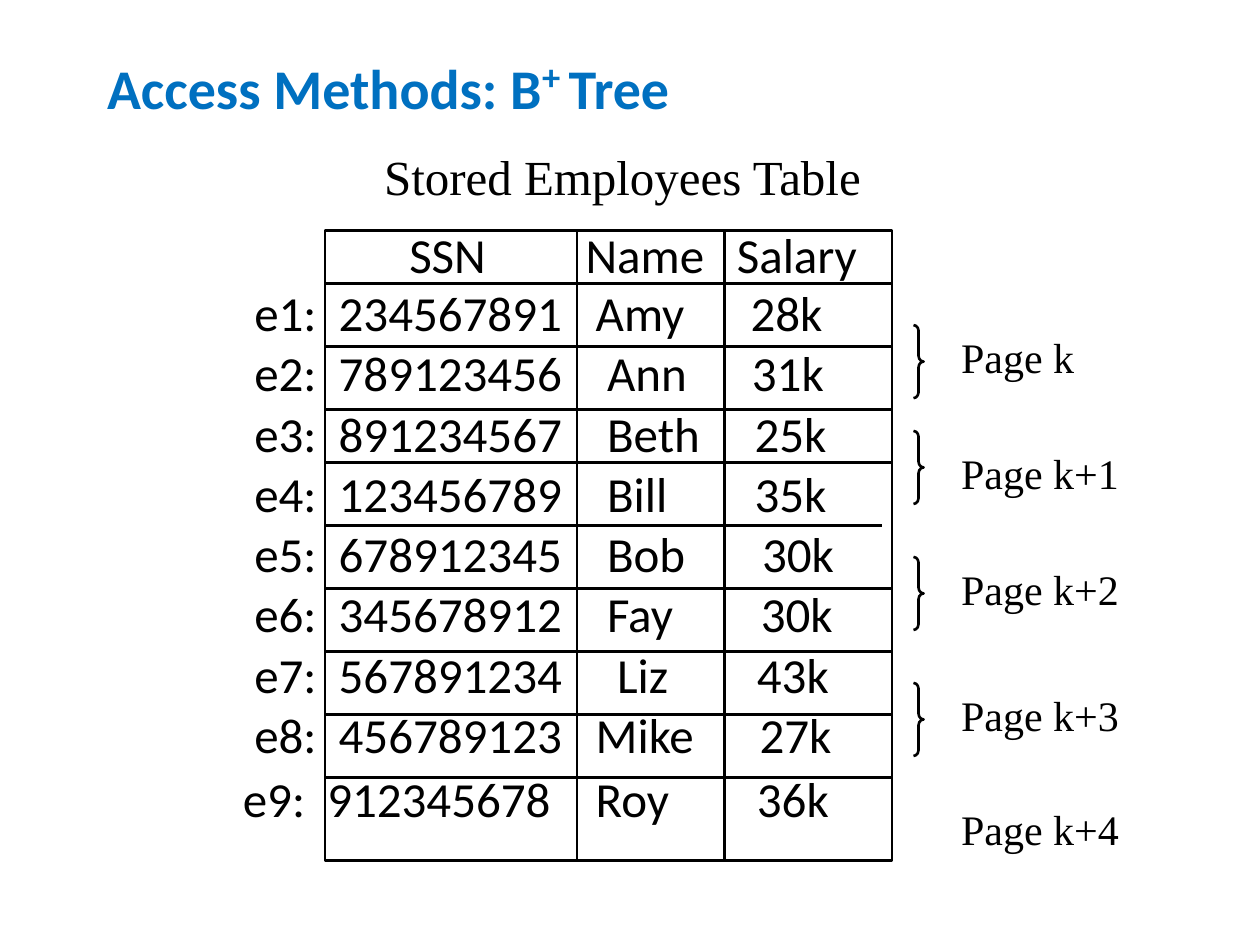
"""Build a slide showing the stored employees table and its pages."""
from dataclasses import dataclass

from lxml import etree
from pptx import Presentation
from pptx import util as u
from pptx.dml.color import RGBColor
from pptx.enum import shapes, text
from pptx.oxml import ns


@dataclass(frozen=True)
class Theme:
    title: RGBColor = RGBColor(0x00, 0x70, 0xC0)
    ink: RGBColor = RGBColor(0, 0, 0)
    sans: str = "Calibri"
    serif: str = "Times New Roman"
    title_size: int = 32
    plus_size: int = 36
    body_size: int = 28
    page_size: int = 24
    line_width: float = 1.5


theme = Theme()


def style(r, name, size, color=theme.ink, bold=False):
    r.font.name, r.font.size, r.font.bold = name, u.Pt(size), bold
    r.font.color.rgb = color


def add_label(s, words, left, top, width, height, size):
    tb = s.shapes.add_textbox(*map(u.Inches, (left, top, width, height)))
    tf = tb.text_frame
    tf.text = words
    tf.word_wrap = False
    tf.auto_size = text.MSO_AUTO_SIZE.SHAPE_TO_FIT_TEXT
    style(tf.paragraphs[0].runs[0], theme.serif, size)


prs = Presentation()
prs.slide_width, prs.slide_height = u.Inches(10), u.Inches(7.5)
s = prs.slides.add_slide(prs.slide_layouts[5])

title = s.shapes.title
title.left, title.top = u.Inches(0.75), u.Inches(0.42)
title.width, title.height = u.Inches(8.5), u.Inches(0.58)
tf = title.text_frame
tf.auto_size = text.MSO_AUTO_SIZE.NONE
tf.vertical_anchor = text.MSO_ANCHOR.MIDDLE
p = tf.paragraphs[0]
p.alignment, p.line_spacing = text.PP_ALIGN.LEFT, 0.9
for words, size, raised in (
    ("Access Methods: B", theme.title_size, 0),
    ("+ ", theme.plus_size, 30000),
    ("Tree", theme.title_size, 0),
):
    r = p.add_run()
    r.text = words
    style(r, theme.sans, size, theme.title, True)
    r.font._element.set("baseline", str(raised))

body_left, inset = 0.25, 0.1
body = s.shapes.add_textbox(*map(u.Inches, (body_left, 1.42, 9, 5.67)))
tf = body.text_frame
tf.word_wrap = True
tf.auto_size = text.MSO_AUTO_SIZE.NONE
tf.margin_left, tf.margin_top = u.Inches(inset), u.Inches(0.53)

label_x, ssn_x = 2.02, 2.69
employees = [
    ("234567891", "Amy", "28k", 4.73, 5.96),
    ("789123456", "Ann", "31k", 4.82, 5.97),
    ("891234567", "Beth", "25k", 4.82, 5.99),
    ("123456789", "Bill", "35k", 4.82, 5.99),
    ("678912345", "Bob", "30k", 4.82, 6.05),
    ("345678912", "Fay", "30k", 4.82, 6.04),
    ("567891234", "Liz", "43k", 4.9, 6.01),
    ("456789123", "Mike", "27k", 4.73, 6.03),
    ("912345678", "Roy", "36k", 4.73, 6.01),
]
rows = [(("SSN", "Name", "Salary"), (3.25, 4.65, 5.85), 0.6, 0)]
for i, (ssn, name, salary, name_x, salary_x) in enumerate(employees, 1):
    last = i == len(employees)
    shift = 0.09 if last else 0
    stops = (label_x - shift, ssn_x - shift, name_x, salary_x)
    rows.append(((f"e{i}:", ssn, name, salary), stops, 0.8, 9.5 if last else 7.5))

for i, (cells, stops, spacing, before) in enumerate(rows):
    p = tf.add_paragraph() if i else tf.paragraphs[0]
    p.text = "".join(f"\t{cell}" for cell in cells)
    p.line_spacing, p.space_before = spacing, u.Pt(before)
    style(p.runs[0], theme.sans, theme.body_size)
    tabs = etree.SubElement(p._p.get_or_add_pPr(), ns.qn("a:tabLst"))
    for x in stops:
        pos = u.Inches(x - body_left - inset)
        etree.SubElement(tabs, ns.qn("a:tab"), pos=str(int(pos)), algn="l")

left, top, right, bottom = 2.58, 1.83, 7.08, 6.83
frame = s.shapes.add_shape(
    shapes.MSO_SHAPE.RECTANGLE,
    *map(u.Inches, (left, top, right - left, bottom - top)),
)
frame.shadow.inherit = False
frame.fill.background()
frame.line.color.rgb, frame.line.width = theme.ink, u.Pt(theme.line_width)

short_y = 4.17
row_ys = (2.25, 2.75, 3.25, 3.67, short_y, 4.67, 5.17, 5.67, 6.17)
rules = [(left, y, 7 if y == short_y else right, y) for y in row_ys]
rules += [(x, top, x, bottom) for x in (4.58, 5.75)]
for ends in rules:
    rule = s.shapes.add_connector(
        shapes.MSO_CONNECTOR.STRAIGHT, *map(u.Inches, ends)
    )
    rule.line.color.rgb, rule.line.width = theme.ink, u.Pt(theme.line_width)
    etree.SubElement(rule._element.spPr, ns.qn("a:effectLst"))

add_label(s, "Stored Employees Table", 2.95, 1.11, 4.02, 0.57, theme.body_size)

for y in (2.58, 3.42, 4.42, 5.42):
    brace = s.shapes.add_shape(
        shapes.MSO_SHAPE.RIGHT_BRACE, *map(u.Inches, (7.25, y, 0.08, 0.58))
    )
    brace.adjustments[0] = 0.58
    brace.shadow.inherit = False
    brace.fill.background()
    brace.line.color.rgb, brace.line.width = theme.ink, u.Pt(theme.line_width)

for i, y in enumerate((2.58, 3.5, 4.42, 5.42, 6.33)):
    words, width = (f"Page k+{i}", 1.45) if i else ("Page k", 1.1)
    add_label(s, words, 7.53, y, width, 0.5, theme.page_size)

prs.save("out.pptx")
